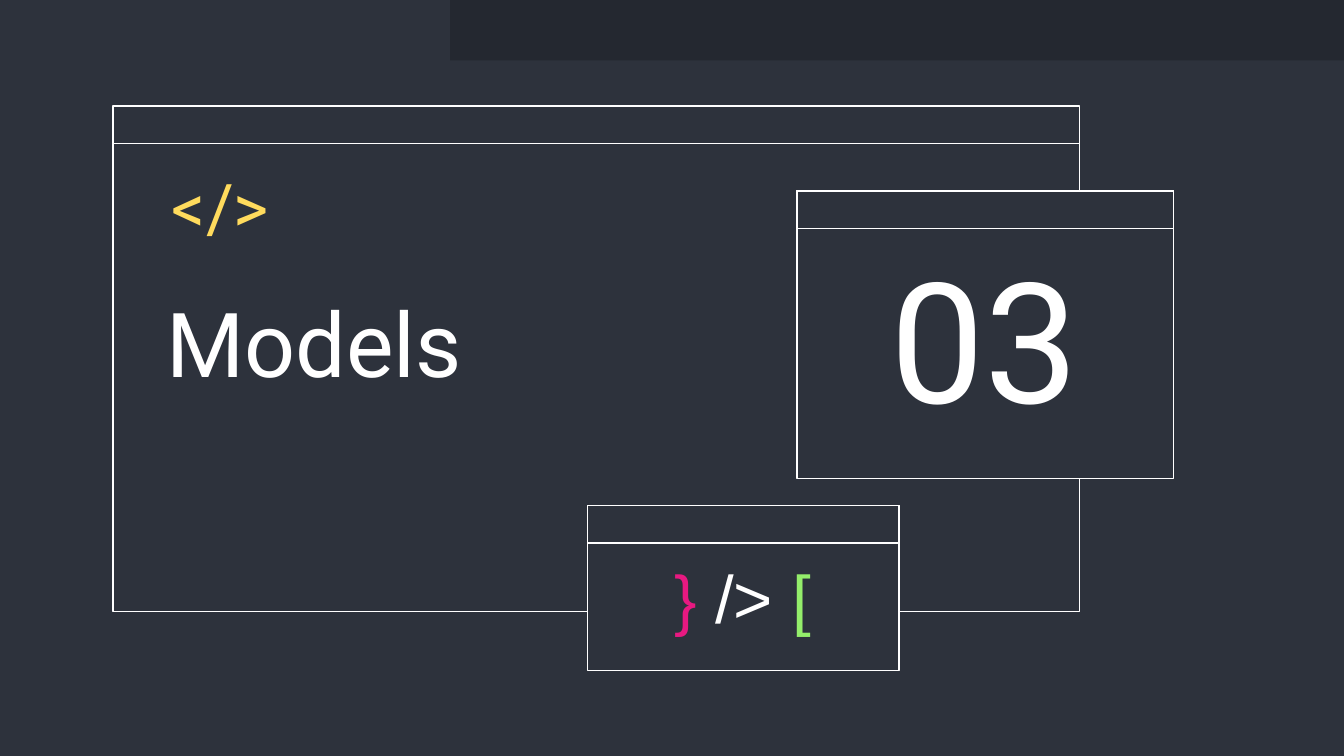
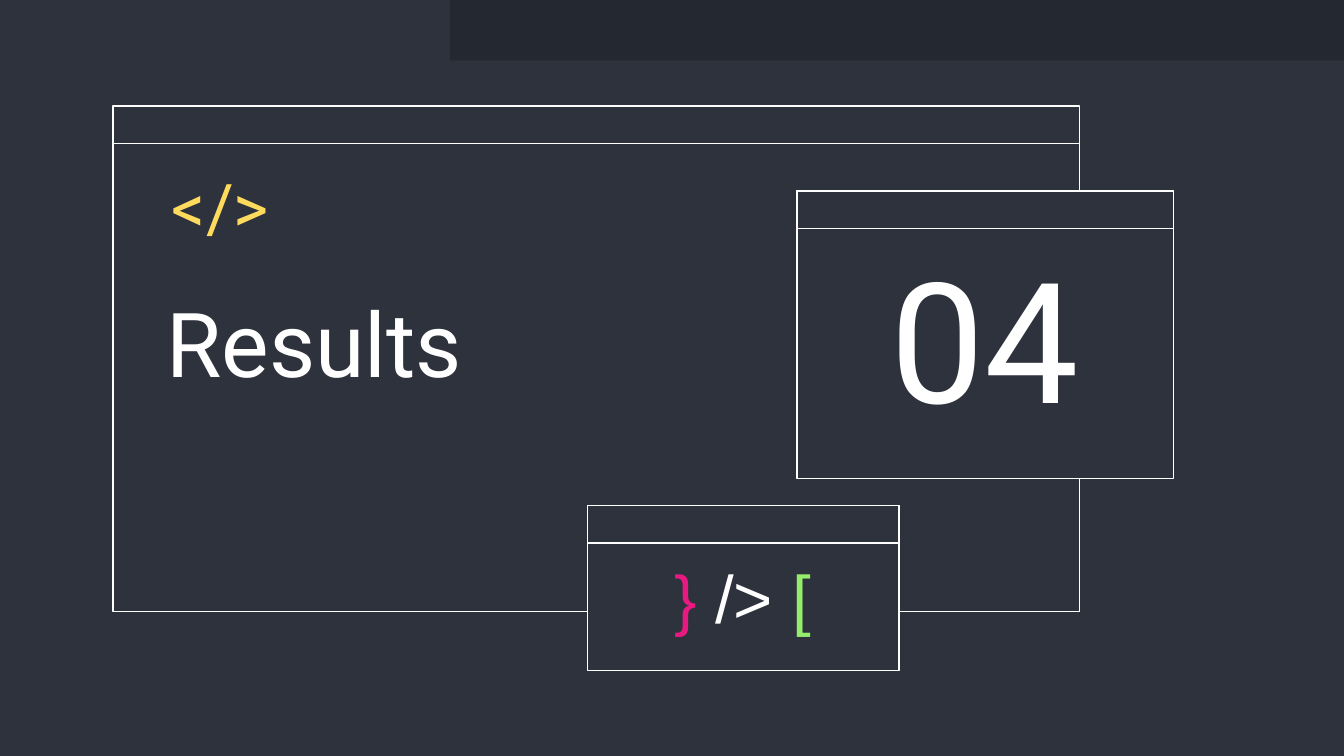
from typing import NamedTuple

from pptx import Presentation
from pptx.dml.color import RGBColor
from pptx.enum.shapes import MSO_SHAPE
from pptx.enum.text import MSO_ANCHOR, MSO_AUTO_SIZE, PP_ALIGN
from pptx.util import Pt

DARK = RGBColor(0x2D, 0x32, 0x3C)
BAND = RGBColor(0x24, 0x28, 0x30)
WHITE = RGBColor(0xFF, 0xFF, 0xFF)
YELLOW = RGBColor(0xFF, 0xDB, 0x5D)
PINK = RGBColor(0xE8, 0x19, 0x81)
GREEN = RGBColor(0x94, 0xEE, 0x6B)
TITLE_BAR_HEIGHT = 20.16
INSET = Pt(7.2)


class Box(NamedTuple):
    left: float
    top: float
    width: float
    height: float


class Piece(NamedTuple):
    text: str
    color: RGBColor


class Label(NamedTuple):
    box: Box
    pieces: list[Piece]
    size: float
    font: str = "Roboto"
    align: PP_ALIGN = PP_ALIGN.LEFT
    anchor: MSO_ANCHOR = MSO_ANCHOR.TOP
    spacing: float = 1.0


class Section(NamedTuple):
    number: str
    title: str


SECTIONS = [Section("03", "Models"), Section("04", "Results")]
TOP_BAND = Box(241.2, 0, 478.8, 32.4)
WINDOWS = [
    Box(60.48, 56.88, 517.68, 270.72),
    Box(314.64, 270.72, 167.04, 88.56),
    Box(426.96, 102.24, 201.6, 154.08),
]
TITLE_BOX = Box(82.08, 146.88, 357.84, 64.8)
NUMBER_BOX = Box(439.92, 122.4, 174.96, 118.8)
SYMBOLS = [
    Label(Box(66.24, 86.4, 84.96, 44.64), [Piece("</>", YELLOW)], 36,
          align=PP_ALIGN.RIGHT, spacing=0.9),
    Label(Box(349.92, 295.92, 95.76, 59.04),
          [Piece("}", PINK), Piece(" /> ", WHITE), Piece("[", GREEN)], 36,
          font="Arial", align=PP_ALIGN.CENTER, spacing=0.9),
]


def add_rect(shapes, box: Box, fill: RGBColor, outlined: bool = True):
    rect = shapes.add_shape(MSO_SHAPE.RECTANGLE, *map(Pt, box))
    rect.shadow.inherit = False
    rect.fill.solid()
    rect.fill.fore_color.rgb = fill
    if outlined:
        rect.line.color.rgb = WHITE
        rect.line.width = Pt(0.75)
    else:
        rect.line.fill.background()
    return rect


def add_window(s, box: Box) -> None:
    group = s.shapes.add_group_shape()
    add_rect(group.shapes, box, DARK)
    add_rect(group.shapes, box._replace(height=TITLE_BAR_HEIGHT), DARK)


def write_label(sp, label: Label) -> None:
    sp.left, sp.top, sp.width, sp.height = map(Pt, label.box)
    tf = sp.text_frame
    tf.word_wrap = True
    tf.auto_size = MSO_AUTO_SIZE.NONE
    tf.vertical_anchor = label.anchor
    tf.margin_left = tf.margin_right = tf.margin_top = tf.margin_bottom = INSET
    p = tf.paragraphs[0]
    p.alignment = label.align
    p.line_spacing = label.spacing
    p.space_before = Pt(0)
    for piece in label.pieces:
        r = p.add_run()
        r.text = piece.text
        r.font.name = label.font
        r.font.size = Pt(label.size)
        r.font.color.rgb = piece.color


def add_section(prs, section: Section):
    s = prs.slides.add_slide(prs.slide_layouts[0])
    for box in WINDOWS:
        add_window(s, box)

    # Title and number, brought in front of the windows
    title, number = s.placeholders
    for placeholder in (title, number):
        s.shapes.element.append(placeholder.element)
    write_label(title, Label(TITLE_BOX, [Piece(section.title, WHITE)], 48))
    write_label(number, Label(NUMBER_BOX, [Piece(section.number, WHITE)], 90,
                              align=PP_ALIGN.CENTER, anchor=MSO_ANCHOR.BOTTOM))

    # Code symbols
    for label in SYMBOLS:
        write_label(s.shapes.add_textbox(*map(Pt, label.box)), label)
    return s


def main() -> None:
    prs = Presentation()
    prs.slide_width, prs.slide_height = Pt(720), Pt(405)

    # Shared background
    background = prs.slide_master.background.fill
    background.solid()
    background.fore_color.rgb = DARK

    slides = [add_section(prs, section) for section in SECTIONS]

    # Shared top band, moved to the layout
    band = add_rect(slides[0].shapes, TOP_BAND, BAND, outlined=False)
    prs.slide_layouts[0].shapes.element.append(band.element)
    prs.save("out.pptx")


if __name__ == "__main__":
    main()
